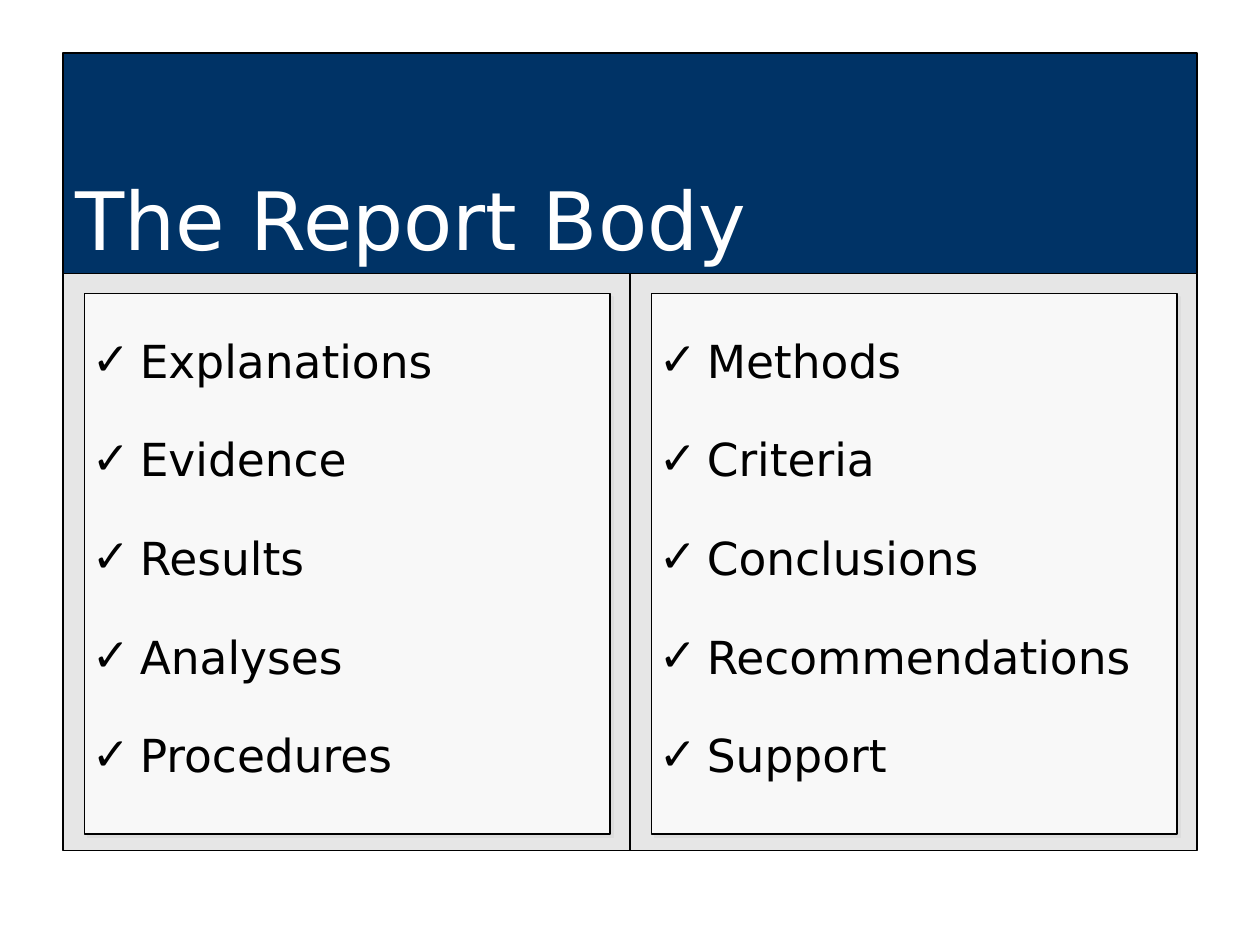
from pptx import Presentation
from pptx.dml.color import RGBColor
from pptx.enum.shapes import MSO_SHAPE
from pptx.enum.text import MSO_ANCHOR, MSO_AUTO_SIZE, PP_ALIGN
from pptx.oxml import parse_xml
from pptx.oxml.ns import nsdecls, qn
from pptx.util import Inches, Pt

COLORS = {
    "navy": "003366",
    "panel": "E6E6E6",
    "card": "F8F8F8",
    "shade": "DDDDDD",
    "ink": "000000",
    "white": "FFFFFF",
}
LISTS = [
    ["Explanations", "Evidence", "Results", "Analyses", "Procedures"],
    ["Methods", "Criteria", "Conclusions", "Recommendations", "Support"],
]


class Deck:
    font = "DejaVu Sans"

    def __init__(self, show):
        self.slide = show.slides.add_slide(show.slide_layouts[5])

    def color(self, name):
        return RGBColor.from_string(COLORS[name])

    def paint(self, shape, fill):
        shape.fill.solid()
        shape.fill.fore_color.rgb = self.color(fill)
        shape.line.color.rgb = self.color("ink")
        shape.line.width = Pt(1)

    def style(self, para, size, color):
        para.alignment = PP_ALIGN.LEFT
        for run in para.runs:
            run.font.name = self.font
            run.font.size = Pt(size)
            run.font.color.rgb = self.color(color)

    def title(self, text, left, top, width, height):
        shape = self.slide.shapes.title
        shape.left, shape.top = Inches(left), Inches(top)
        shape.width, shape.height = Inches(width), Inches(height)
        self.paint(shape, "navy")
        frame = shape.text_frame
        frame.text = text
        frame.auto_size = MSO_AUTO_SIZE.NONE
        frame.vertical_anchor = MSO_ANCHOR.BOTTOM
        self.style(frame.paragraphs[0], 46, "white")

    def box(self, fill, left, top, width, height):
        shape = self.slide.shapes.add_shape(
            MSO_SHAPE.RECTANGLE,
            Inches(left), Inches(top), Inches(width), Inches(height))
        shape.shadow.inherit = False
        self.paint(shape, fill)
        return shape

    def shadow(self, shape):
        effects = shape._element.spPr.find(qn("a:effectLst"))
        effects.append(parse_xml(
            f'<a:outerShdw {nsdecls("a")} dist="{Pt(2.8)}" dir="2700000" '
            f'algn="ctr" rotWithShape="0">'
            f'<a:srgbClr val="{COLORS["shade"]}"/></a:outerShdw>'))

    def bullet(self, para):
        props = para._p.get_or_add_pPr()
        props.set("marL", str(Inches(0.38)))
        props.set("indent", str(Inches(-0.38)))
        for xml in (
            f'<a:buClr {nsdecls("a")}><a:srgbClr val="{COLORS["ink"]}"/></a:buClr>',
            f'<a:buFont {nsdecls("a")} typeface="{self.font}"/>',
            f'<a:buChar {nsdecls("a")} char="✓"/>',
        ):
            props.append(parse_xml(xml))

    def card(self, items, left, top, width, height):
        shape = self.box("card", left, top, width, height)
        self.shadow(shape)
        frame = shape.text_frame
        frame.text = "\n".join(items)
        frame.word_wrap = True
        frame.vertical_anchor = MSO_ANCHOR.TOP
        frame.margin_left = frame.margin_right = Inches(0.06)
        for para in frame.paragraphs:
            para.line_spacing = 1.6
            para.space_before = Pt(6.5)
            self.style(para, 26, "ink")
            self.bullet(para)


def main():
    show = Presentation()
    show.slide_width, show.slide_height = Inches(10), Inches(7.5)
    deck = Deck(show)
    deck.title("The Report Body", 0.5, 0.42, 9, 1.75)
    for col, items in enumerate(LISTS):
        left = 0.5 + 4.5 * col
        deck.box("panel", left, 2.17, 4.5, 4.58)
        deck.card(items, left + 0.17, 2.33, 4.17, 4.29)
    show.save("out.pptx")


if __name__ == "__main__":
    main()
